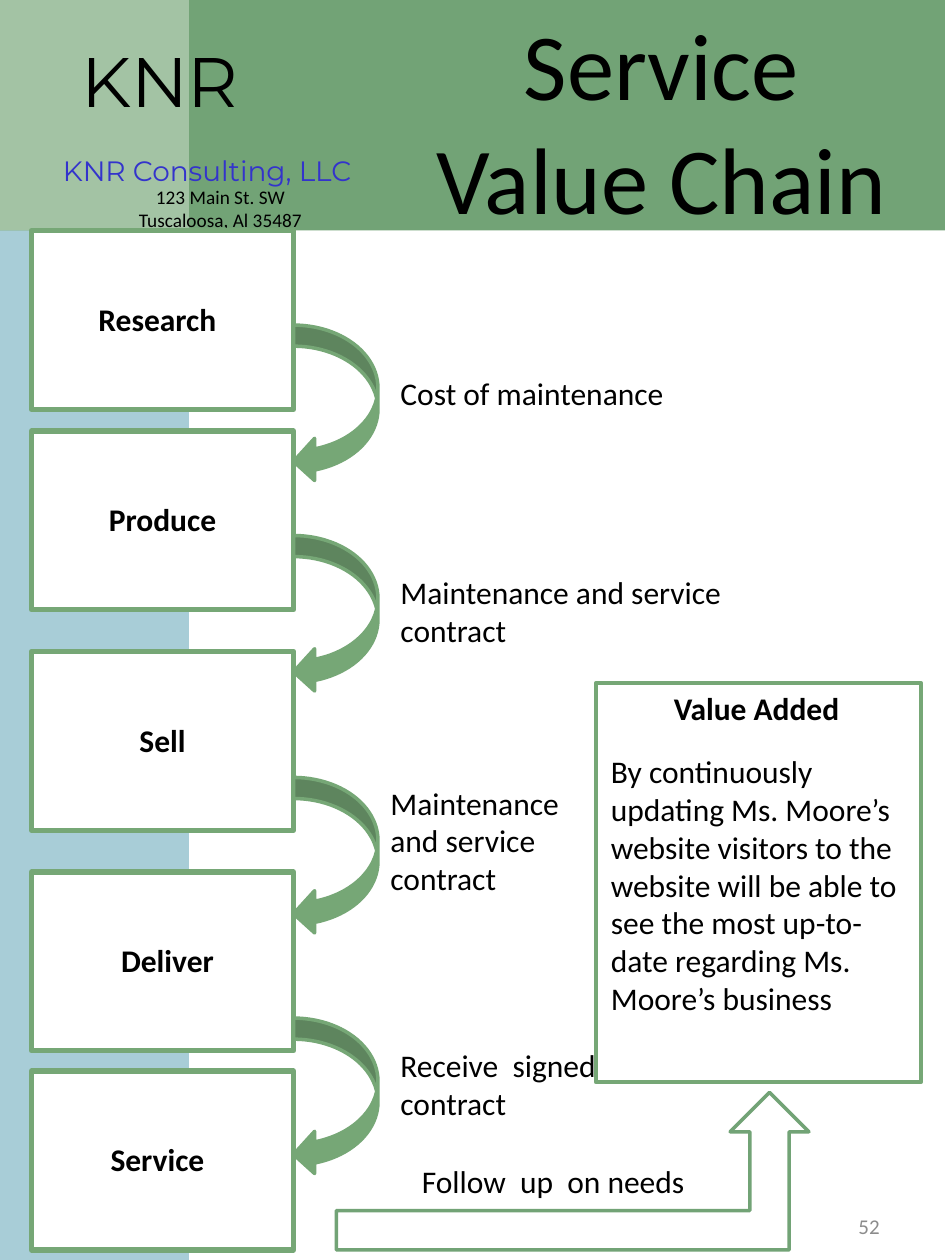
from lxml.etree import SubElement
from pptx import Presentation
from pptx.dml.color import RGBColor
from pptx.enum.shapes import MSO_SHAPE
from pptx.enum.text import MSO_ANCHOR, MSO_AUTO_SIZE, PP_ALIGN
from pptx.oxml.ns import qn
from pptx.util import Inches, Pt

BLACK = RGBColor(0x00, 0x00, 0x00)
WHITE = RGBColor(0xFF, 0xFF, 0xFF)
GRAY = RGBColor(0x8C, 0x8C, 0x8C)
INDIGO = RGBColor(0x33, 0x33, 0xCC)
HEADER_GREEN = RGBColor(0x72, 0xA3, 0x76)
STAGE_GREEN = RGBColor(0x76, 0xA7, 0x76)
PALE_GREEN = RGBColor(0xB0, 0xCC, 0xB0)
PALE_BLUE = RGBColor(0xA8, 0xCD, 0xD7)

CENTER, LEFT, RIGHT = PP_ALIGN.CENTER, PP_ALIGN.LEFT, PP_ALIGN.RIGHT

TITLE = ["Service", "Value Chain"]
LOGOTYPE = "KNR"
COMPANY = "KNR Consulting, LLC"
ADDRESS = ["123 Main St. SW", "Tuscaloosa, Al 35487"]
PAGE_NUMBER = "52"

# name, box top, label left, label width
STAGES = [
    ("Research", 1.83, 0.25, 2.0),
    ("Produce", 3.42, 0.25, 2.08),
    ("Sell", 5.17, 0.25, 2.08),
    ("Deliver", 6.92, 0.33, 2.0),
    ("Service", 8.5, 0.25, 2.0),
]
STAGE_LEFT, STAGE_WIDTH, STAGE_HEIGHT = 0.25, 2.08, 1.42
LABEL_OFFSET, LABEL_HEIGHT = 0.5, 0.4

ARROW_TOPS = [2.58, 4.25, 6.17, 8.08]
ARROW_WIDTH, ARROW_HEIGHT = 0.67, 1.25

# lines, (left, top, width, height)
NOTES = [
    (["Cost of maintenance"], (3.08, 2.92, 3.33, 0.4)),
    (["Maintenance and service contract"], (3.08, 4.5, 3.08, 0.71)),
    (["Maintenance and service contract"], (3, 6.17, 1.75, 1.01)),
    (["Receive  signed", "contract"], (3.08, 8.25, 1.83, 0.71)),
    (["Follow  up  on needs"], (3.25, 9.17, 2.67, 0.4)),
]

VALUE_BOX = (4.73, 5.42, 2.58, 3.17)
VALUE_HEADING = "Value Added"
VALUE_TEXT = (
    "By continuously updating Ms. Moore’s website visitors to the website "
    "will be able to see the most up-to-date regarding Ms. Moore’s business"
)


def add_block(slide, kind, box, fill, line=None, line_width=0):
    shape = slide.shapes.add_shape(kind, *map(Inches, box))
    shape.shadow.inherit = False
    shape.fill.solid()
    shape.fill.fore_color.rgb = fill
    if line is None:
        shape.line.fill.background()
    else:
        shape.line.color.rgb = line
        shape.line.width = Pt(line_width)
    return shape


def write_lines(frame, lines, size, align, font="Calibri", color=BLACK, bold=False):
    for index, line in enumerate(lines):
        paragraph = frame.paragraphs[0] if index == 0 else frame.add_paragraph()
        paragraph.alignment = align
        run = paragraph.add_run()
        run.text = line
        run.font.name = font
        run.font.size = Pt(size)
        run.font.bold = bold
        run.font.color.rgb = color


def add_text(slide, lines, box, size=18, align=LEFT, wrap=True, **style):
    text_box = slide.shapes.add_textbox(*map(Inches, box))
    frame = text_box.text_frame
    frame.word_wrap = wrap
    if not wrap:
        # A one-line text gets the whole width of its box.
        frame.margin_left = frame.margin_right = 0
    write_lines(frame, lines, size, align, **style)
    return text_box


def set_opacity(shape, percent):
    color = shape.fill._xPr.find(qn("a:solidFill"))[0]
    SubElement(color, qn("a:alpha")).set("val", str(percent * 1000))


def add_header(slide):
    add_block(slide, MSO_SHAPE.RECTANGLE, (0, 0.67, 1.5, 9.33), PALE_BLUE)
    add_block(slide, MSO_SHAPE.RECTANGLE, (0, 0, 7.5, 1.83), HEADER_GREEN)
    corner = add_block(slide, MSO_SHAPE.RECTANGLE, (0, 0, 1.5, 1.83), PALE_GREEN)
    set_opacity(corner, 80)
    add_text(slide, [LOGOTYPE], (0.46, 0.25, 1.62, 0.77), 40, CENTER,
             wrap=False, font="Montserrat")
    add_text(slide, [COMPANY], (0.42, 1.17, 2.45, 0.31), 16, CENTER,
             wrap=False, font="Montserrat", color=INDIGO)
    add_text(slide, ADDRESS, (0, 1.42, 3.5, 0.47), 11, CENTER)


def place_title(slide):
    title = slide.shapes.title
    title.left, title.top, title.width, title.height = map(Inches, (3, 0, 4.5, 1.92))
    frame = title.text_frame
    frame.word_wrap = True
    frame.auto_size = MSO_AUTO_SIZE.NONE
    frame.vertical_anchor = MSO_ANCHOR.TOP
    write_lines(frame, TITLE, 54, CENTER)
    # The title has to lie in front of the header band.
    slide.shapes._spTree.append(title._element)


def add_chain(slide):
    for name, top, label_left, label_width in STAGES:
        add_block(slide, MSO_SHAPE.RECTANGLE,
                  (STAGE_LEFT, top, STAGE_WIDTH, STAGE_HEIGHT), WHITE, STAGE_GREEN, 3)
        add_text(slide, [name],
                 (label_left, top + LABEL_OFFSET, label_width, LABEL_HEIGHT),
                 align=CENTER, bold=True)
    for top in ARROW_TOPS:
        add_block(slide, MSO_SHAPE.CURVED_LEFT_ARROW,
                  (STAGE_LEFT + STAGE_WIDTH, top, ARROW_WIDTH, ARROW_HEIGHT),
                  STAGE_GREEN, STAGE_GREEN, 2)


def add_value(slide):
    add_block(slide, MSO_SHAPE.BENT_UP_ARROW, (2.67, 8.67, 3.75, 1.25),
              WHITE, HEADER_GREEN, 2)
    add_block(slide, MSO_SHAPE.RECTANGLE, VALUE_BOX, WHITE, STAGE_GREEN, 2.25)
    add_text(slide, [VALUE_HEADING], (4.67, 5.42, 2.67, 0.4), align=CENTER, bold=True)
    add_text(slide, [VALUE_TEXT], (4.75, 5.92, 2.5, 2.22))


def main():
    presentation = Presentation()
    presentation.slide_width = Inches(7.5)
    presentation.slide_height = Inches(10)
    slide = presentation.slides.add_slide(presentation.slide_layouts[5])
    add_header(slide)
    place_title(slide)
    add_chain(slide)
    add_value(slide)
    for lines, box in NOTES:
        add_text(slide, lines, box)
    number = add_text(slide, [PAGE_NUMBER], (5.33, 9.47, 1.75, 0.53), 12, RIGHT, color=GRAY)
    number.text_frame.vertical_anchor = MSO_ANCHOR.MIDDLE
    presentation.save("out.pptx")


if __name__ == "__main__":
    main()
